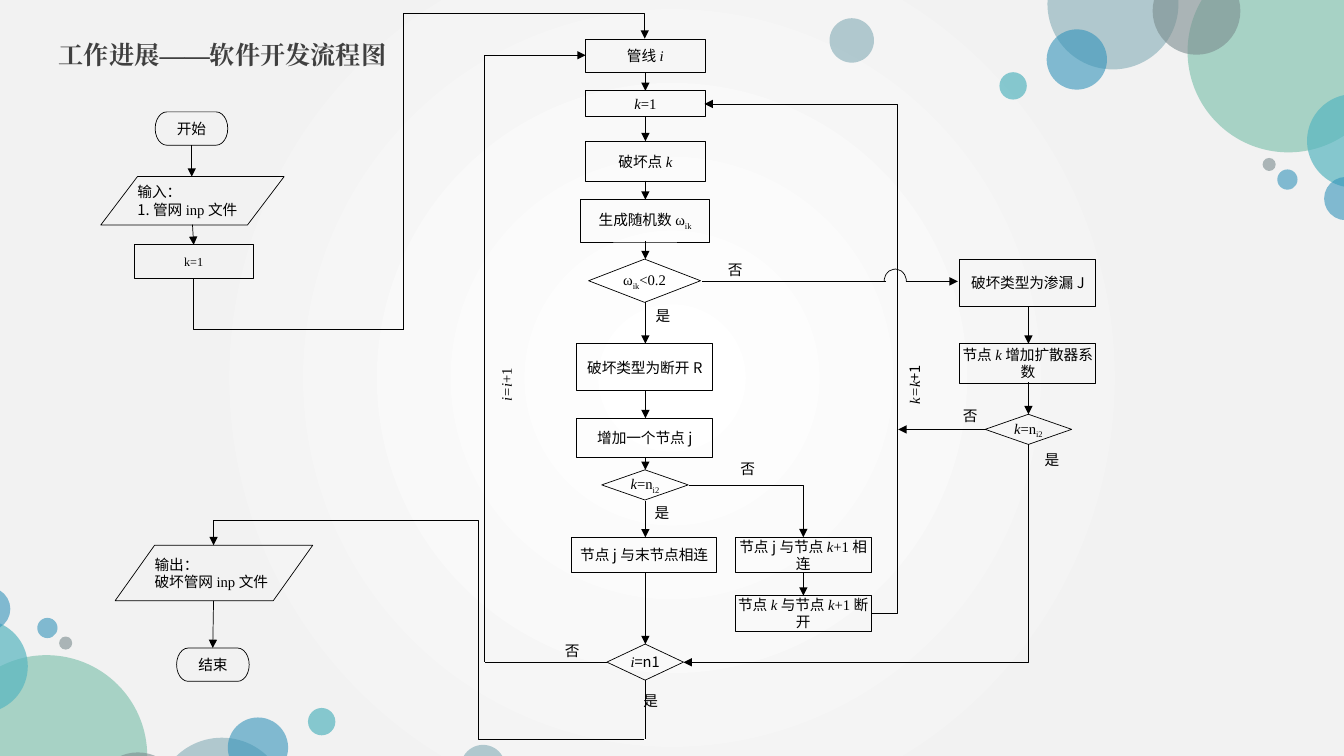
import math
from lxml import etree
from pptx import Presentation
from pptx.dml.color import RGBColor
from pptx.enum.shapes import MSO_CONNECTOR, MSO_SHAPE
from pptx.enum.text import MSO_ANCHOR, PP_ALIGN
from pptx.oxml import parse_xml
from pptx.oxml.ns import nsdecls, qn
from pptx.util import Cm, Pt

BLACK = RGBColor(0x00, 0x00, 0x00)
WHITE = RGBColor(0xFF, 0xFF, 0xFF)
TITLE_GREY = RGBColor(0x40, 0x40, 0x40)
STEEL = RGBColor(0x84, 0xAC, 0xB6)
GREEN = RGBColor(0x75, 0xBD, 0xA7)
SLATE = RGBColor(0x7A, 0x8C, 0x8E)
BLUE = RGBColor(0x34, 0x94, 0xBA)
TEAL = RGBColor(0x58, 0xB6, 0xC0)

OVAL = MSO_SHAPE.OVAL
RECT = MSO_SHAPE.RECTANGLE
PROCESS = MSO_SHAPE.FLOWCHART_PROCESS
DECISION = MSO_SHAPE.FLOWCHART_DECISION
DIAMOND = MSO_SHAPE.DIAMOND
TERMINAL = MSO_SHAPE.FLOWCHART_TERMINATOR
DATA = MSO_SHAPE.FLOWCHART_DATA
STRAIGHT = MSO_CONNECTOR.STRAIGHT
ELBOW = MSO_CONNECTOR.ELBOW
CENTER = PP_ALIGN.CENTER
LEFT = PP_ALIGN.LEFT
MIDDLE = MSO_ANCHOR.MIDDLE

# Run styles: font, italic, subscript
CJK = ("Noto Sans CJK SC", False, False)
ROMAN = ("Times New Roman", False, False)
ITALIC = ("Times New Roman", True, False)
SUB = ("Times New Roman", False, True)


def lengths(*inches):
    return [Cm(round(v * 2.54, 2)) for v in inches]


def write(shape, paragraphs, align=CENTER, size=10.5, color=BLACK, inset=0):
    """Fill a shape with paragraphs, each a list of (text, run style)."""
    tf = shape.text_frame
    tf.word_wrap = True
    tf.vertical_anchor = MIDDLE
    tf.margin_left = tf.margin_right = Cm(2 * inset)
    tf.margin_top = tf.margin_bottom = Cm(inset)
    for n, runs in enumerate(paragraphs):
        p = tf.paragraphs[0] if n == 0 else tf.add_paragraph()
        p.alignment = align
        for text, (font, italic, sub) in runs:
            r = p.add_run()
            r.text = text
            r.font.size = Pt(size)
            r.font.name = font
            r.font.italic = italic
            r.font.color.rgb = color
            rPr = r._r.get_or_add_rPr()
            etree.SubElement(rPr, qn("a:ea")).set("typeface", font)
            if sub:
                rPr.set("baseline", "-25000")


prs = Presentation()
prs.slide_width, prs.slide_height = lengths(13.33, 7.5)
s = prs.slides.add_slide(prs.slide_layouts[6])
s.element.cSld.insert(0, parse_xml(
    f'<p:bg {nsdecls("p", "a")}><p:bgPr><a:gradFill><a:gsLst>'
    '<a:gs pos="0"><a:srgbClr val="FFFFFF"/></a:gs>'
    '<a:gs pos="67000"><a:srgbClr val="F2F2F2"/></a:gs>'
    '<a:gs pos="100000"><a:srgbClr val="F2F2F2"/></a:gs></a:gsLst>'
    '<a:path path="circle"><a:fillToRect l="50000" t="50000" r="50000" b="50000"/>'
    '</a:path></a:gradFill><a:effectLst/></p:bgPr></p:bg>'))

# Bubbles: centre, diameter, colour, opacity; the lower left set is turned by 180°
bubbles = [
    (11.04, 0.04, 1.3, STEEL, 60), (12.78, 0.51, 2, GREEN, 60),
    (11.87, 0.11, 0.87, SLATE, 60), (10.68, 0.59, 0.6, BLUE, 60),
    (13.43, 1.4, 0.93, TEAL, 70), (10.05, 0.85, 0.27, TEAL, 70),
    (13.35, 1.97, 0.43, BLUE, 60), (12.77, 1.78, 0.2, BLUE, 60),
    (12.59, 1.63, 0.13, SLATE, 60), (8.45, 0.4, 0.44, STEEL, 60),
]
turned = [(13.24 - x, 8.01 - y, d, c, a) for x, y, d, c, a in bubbles]
for x, y, d, color, opacity in bubbles + turned:
    sp = s.shapes.add_shape(OVAL, *lengths(x - d / 2, y - d / 2, d, d))
    sp.shadow.inherit = False
    sp.line.fill.background()
    sp.fill.solid()
    sp.fill.fore_color.rgb = color
    clr = sp.element.spPr.find(qn("a:solidFill"))[0]
    etree.SubElement(clr, qn("a:alpha")).set("val", str(opacity * 1000))

title = s.shapes.add_textbox(*lengths(0.48, 0.28, 3.72, 0.44))
write(title, [[("工作进展——软件开发流程图", ROMAN)]], LEFT, 18, TITLE_GREY, 0.13)
p = title.text_frame.paragraphs[0]
p.line_spacing = 1.3
p.space_before = Pt(10)
p.runs[0].font.bold = True

last_point = [("k", ITALIC), ("=n", ROMAN), ("i2", SUB)]
inp_file = [("inp", ROMAN), ("文件", CJK)]
steps = [
    (TERMINAL, 1.54, 1.11, 0.72, 0.33, [[("开始", CJK)]]),
    (DATA, 1, 1.75, 1.82, 0.48, [[("输入：", CJK)], [("1.管网", CJK)] + inp_file]),
    (PROCESS, 1.33, 2.43, 1.18, 0.33, [[("k=1", ROMAN)]]),
    (PROCESS, 5.81, 0.39, 1.18, 0.33, [[("管线", CJK), ("i", ITALIC)]]),
    (PROCESS, 5.81, 0.9, 1.18, 0.25, [[("k", ITALIC), ("=1", ROMAN)]]),
    (RECT, 5.81, 1.4, 1.18, 0.4, [[("破坏点", CJK), ("k", ITALIC)]]),
    (RECT, 5.76, 1.98, 1.28, 0.42, [[("生成随机数", CJK), ("ω", ROMAN), ("ik", SUB)]]),
    (DECISION, 5.84, 2.57, 1.11, 0.43, [[("ω", ROMAN), ("ik", SUB), ("<0.2", ROMAN)]]),
    (RECT, 5.72, 3.41, 1.35, 0.47, [[("破坏类型为断开R", CJK)]]),
    (RECT, 5.72, 4.15, 1.35, 0.39, [[("增加一个节点j", CJK)]]),
    (DIAMOND, 5.97, 4.66, 0.86, 0.3, [last_point]),
    (PROCESS, 5.67, 5.33, 1.44, 0.35, [[("节点j与末节点相连", CJK)]]),
    (DIAMOND, 6.02, 6.39, 0.76, 0.36, [[("i", ITALIC), ("=n1", CJK)]]),
    (PROCESS, 7.29, 5.33, 1.35, 0.35,
     [[("节点j与节点", CJK), ("k", ITALIC), ("+1", ROMAN), ("相连", CJK)]]),
    (PROCESS, 7.29, 5.91, 1.35, 0.35,
     [[("节点", CJK), ("k", ITALIC), ("与节点", CJK), ("k", ITALIC), ("+1", ROMAN),
       ("断开", CJK)]]),
    (RECT, 9.52, 2.57, 1.35, 0.47, [[("破坏类型为渗漏J", CJK)]]),
    (RECT, 9.52, 3.41, 1.35, 0.39, [[("节点", CJK), ("k", ITALIC), ("增加扩散器系数", CJK)]]),
    (DIAMOND, 9.77, 4.11, 0.86, 0.3, [last_point]),
    (DATA, 1.14, 5.41, 1.96, 0.55, [[("输出：", CJK)], [("破坏管网", CJK)] + inp_file]),
    (TERMINAL, 1.75, 6.43, 0.72, 0.33, [[("结束", CJK)]]),
]
for kind, x, y, w, h, paragraphs in steps:
    sp = s.shapes.add_shape(kind, *lengths(x, y, w, h))
    sp.shadow.inherit = False
    sp.line.color.rgb = BLACK
    sp.line.width = Pt(0.5)
    if kind == DECISION:
        sp.fill.solid()
        sp.fill.fore_color.rgb = WHITE
    else:
        sp.fill.background()
    small = paragraphs == [[("k=1", ROMAN)]]
    write(sp, paragraphs, LEFT if kind == DATA else CENTER, 8.7 if small else 10.5)

yes, no = [("是", CJK)], [("否", CJK)]
branch_labels = [
    (6.4, 2.99, yes), (6.39, 4.95, yes), (6.28, 6.81, yes), (10.26, 4.42, yes),
    (7.12, 2.53, no), (7.24, 4.51, no), (5.5, 6.32, no), (9.45, 3.99, no),
]
labels = [(x, y, 0.35, 0.28, 0, runs) for x, y, runs in branch_labels] + [
    (4.54, 3.63, 0.96, 0.37, 270, [("i=i", ITALIC), ("+1", ROMAN)]),
    (8.65, 3.63, 0.84, 0.37, 270, [("k=k", ITALIC), ("+1", CJK)]),
]
for x, y, w, h, angle, runs in labels:
    sp = s.shapes.add_textbox(*lengths(x, y, w, h))
    sp.rotation = angle
    write(sp, [runs])

# Straight connectors: from, to, arrowhead
drops = [
    (1.9, 1.44, 1.75), (6.4, 0.72, 0.9), (6.4, 1.16, 1.4), (6.4, 1.79, 1.98),
    (6.4, 2.39, 2.57), (6.4, 3, 3.41), (6.4, 3.87, 4.15), (6.4, 4.54, 4.66),
    (6.4, 4.97, 5.33), (6.4, 5.68, 6.39), (7.97, 5.68, 5.91),
    (10.2, 3.04, 3.41), (10.2, 3.79, 4.11),
]
straights = [(x, top, x, bottom, True) for x, top, bottom in drops] + [
    (1.91, 2.23, 1.92, 2.43, True), (2.12, 5.96, 2.11, 6.43, True),
    (8.99, 2.79, 9.5, 2.79, True), (9.77, 4.26, 8.91, 4.26, True),
    (6.96, 2.79, 8.79, 2.79, False), (6.02, 6.57, 4.81, 6.57, False),
    (6.4, 6.75, 6.4, 7.33, False),
]
connectors = [(s.shapes.add_connector(STRAIGHT, *lengths(*ends)), arrow)
              for *ends, arrow in straights]

# Elbows: unrotated box, angle, flips, bends + 1, adjustments in %, arrowhead
elbows = [
    (6.83, 4.82, 1.14, 0.51, 0, "", 2, [], True),
    (2.3, 3.06, 6.02, 1, 90, "HV", 2, [], True),
    (6.99, 1.03, 1.66, 5.06, 0, "HV", 3, [-15.1], True),
    (7.41, 3.78, 2.16, 3.42, 90, "", 2, [], True),
    (2.12, 5.41, 4.27, 1.92, 180, "", 4, [38.5, 113], True),
    (2.71, 1.97, 0.5, 2.09, 270, "H", 2, [], False),
    (3.76, 0.63, 2.88, 2.39, 90, "HV", 3, [108.7], True),
]
for x, y, w, h, angle, flips, bends, adjustments, arrow in elbows:
    c = s.shapes.add_connector(ELBOW, *lengths(x, y, x + w, y + h))
    xfrm = c.element.spPr.find(qn("a:xfrm"))
    xfrm.set("rot", str(angle * 60000))
    for axis in flips:
        xfrm.set("flip" + axis, "1")
    geom = c.element.spPr.find(qn("a:prstGeom"))
    geom.set("prst", f"bentConnector{bends}")
    for n, percent in enumerate(adjustments, 1):
        gd = etree.SubElement(geom.find(qn("a:avLst")), qn("a:gd"))
        gd.set("name", f"adj{n}" if bends > 2 else "adj")
        gd.set("fmla", f"val {round(percent * 1000)}")
    connectors.append((c, arrow))

for c, arrow in connectors:
    c.line.color.rgb = BLACK
    c.line.width = Pt(0.5)
    if arrow:
        etree.SubElement(c.line._get_or_add_ln(), qn("a:tailEnd")).set("type", "triangle")
    etree.SubElement(c.element.spPr, qn("a:effectLst"))

# Hop of the "否" line over the k=k+1 loop
angles = [math.pi * n / 16 for n in range(17)]
hop = [lengths(8.88 - 0.11 * math.cos(a), 2.79 - 0.12 * math.sin(a)) for a in angles]
outline = s.shapes.build_freeform(*hop[0])
outline.add_line_segments(hop[1:], close=False)
sp = outline.convert_to_shape()
sp.shadow.inherit = False
sp.fill.background()
sp.line.color.rgb = BLACK
sp.line.width = Pt(0.5)

prs.save("out.pptx")
